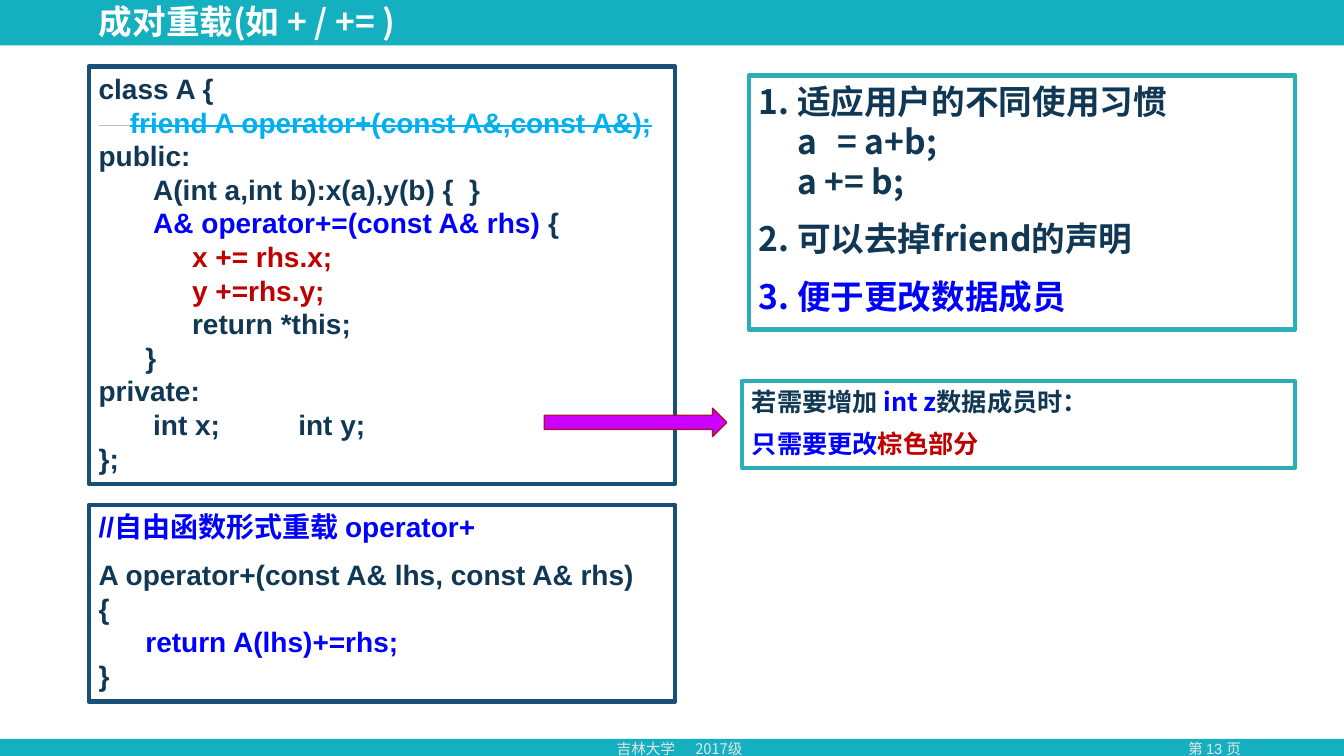
from dataclasses import dataclass

from lxml.etree import SubElement
from pptx import Presentation
from pptx.dml.color import RGBColor
from pptx.enum.shapes import MSO_CONNECTOR, MSO_SHAPE
from pptx.enum.text import MSO_ANCHOR, MSO_AUTO_SIZE, PP_ALIGN
from pptx.oxml.ns import qn
from pptx.util import Inches, Pt

COLS, ROWS = 160, 90


@dataclass(frozen=True)
class Theme:
    """Colours, fonts and type sizes of the slide."""
    band: str = "14B0C0"
    ink: str = "103754"
    blue: str = "0000FF"
    brown: str = "C00000"
    sky: str = "00B0F0"
    white: str = "FFFFFF"
    pale: str = "E7E6E6"
    grey: str = "BFBFBF"
    code_edge: str = "174F78"
    note_edge: str = "2DAEB7"
    arrow: str = "CC00FF"
    arrow_edge: str = "AA1337"
    latin: str = "Arial"
    cjk: str = "Noto Sans CJK SC"
    large: float = 24
    code: float = 20
    note: float = 18
    small: float = 10.5
    space: float = 5.56 / 72  # width of one space in code, in inches


T = Theme()


def rgb(value):
    """Turn a hex string into a colour."""
    return RGBColor.from_string(value)


def add_run(p, text, size, color, font, bold=True, strike=False):
    """Add formatted text to a paragraph; a newline becomes a line break."""
    for i, line in enumerate(text.split("\n")):
        if i:
            p.add_line_break()
        r = p.add_run()
        r.text = line
        r.font.size, r.font.bold, r.font.name = Pt(size), bold, font
        r.font.color.rgb = rgb(color)
        rPr = r.font._element
        SubElement(rPr, qn("a:ea")).set("typeface", T.cjk)
        if strike:
            rPr.set("strike", "sngStrike")


def para(*runs, indent=0, gap=False, number=False, tab=None):
    """Describe a paragraph; a run is (text, colour[, strike])."""
    return dict(runs=runs, indent=indent, gap=gap, number=number, tab=tab)


class Deck:
    """Holds the theme and the current slide, and draws on its grid."""

    def __init__(self, prs, theme):
        """Add a title-only slide."""
        self.theme = theme
        self.col, self.row = prs.slide_width / COLS, prs.slide_height / ROWS
        self.s = prs.slides.add_slide(prs.slide_layouts[5])

    def place(self, x, y, w, h):
        """Convert columns and rows to lengths."""
        return (round(x * self.col), round(y * self.row),
                round(w * self.col), round(h * self.row))

    def fill_text(self, sp, paras, size, font, align=PP_ALIGN.LEFT,
                  anchor=MSO_ANCHOR.TOP, bold=True):
        """Fill a shape with described paragraphs."""
        tf = sp.text_frame
        tf.word_wrap, tf.auto_size = True, MSO_AUTO_SIZE.NONE
        tf.vertical_anchor = anchor
        for i, item in enumerate(paras):
            p = tf.add_paragraph() if i else tf.paragraphs[0]
            p.alignment = align
            if item["gap"]:
                p.space_before = Pt(size / 2)
            pPr = p._p.get_or_add_pPr()
            if item["indent"]:
                pPr.set("marL", str(Inches(item["indent"])))
            if item["number"]:
                pPr.set("indent", str(-Inches(item["indent"])))
                SubElement(pPr, qn("a:buAutoNum")).set("type", "arabicPeriod")
            if item["tab"]:
                tabs = SubElement(pPr, qn("a:tabLst"))
                SubElement(tabs, qn("a:tab"), pos=str(Inches(item["tab"])), algn="l")
            for text, color, *strike in item["runs"]:
                add_run(p, text, size, color, font, bold, bool(strike))

    def shape(self, box, fill=None, edge=None, width=3, kind=MSO_SHAPE.RECTANGLE):
        """Draw a preset shape."""
        sp = self.s.shapes.add_shape(kind, *self.place(*box))
        sp.shadow.inherit = False
        if fill:
            sp.fill.solid()
            sp.fill.fore_color.rgb = rgb(fill)
        else:
            sp.fill.background()
        if edge:
            sp.line.color.rgb, sp.line.width = rgb(edge), Pt(width)
        else:
            sp.line.fill.background()
        return sp

    def panel(self, box, edge, paras, size, font):
        """Draw a framed box of text."""
        self.fill_text(self.shape(box, edge=edge), paras, size, font)

    def label(self, box, item, font, align=PP_ALIGN.LEFT):
        """Add a small footer text."""
        sp = self.s.shapes.add_textbox(*self.place(*box))
        self.fill_text(sp, [item], self.theme.small, font, align,
                       MSO_ANCHOR.MIDDLE, False)

    def title(self, box, text):
        """Move the title placeholder to the front and fill it."""
        sp = self.s.shapes.title
        sp.left, sp.top, sp.width, sp.height = self.place(*box)
        self.s.shapes._spTree.append(sp._element)
        self.fill_text(sp, [para((text, self.theme.white))], self.theme.large,
                       self.theme.cjk, anchor=MSO_ANCHOR.MIDDLE)
        sp.text_frame.paragraphs[0].line_spacing = 0.9

    def rule(self, x, y, w, color, width):
        """Draw a thin horizontal line."""
        left, top, length, _ = self.place(x, y, w, 0)
        line = self.s.shapes.add_connector(
            MSO_CONNECTOR.STRAIGHT, left, top, left + length, top)
        line.line.color.rgb, line.line.width = rgb(color), Pt(width)
        SubElement(line._element.spPr, qn("a:effectLst"))


def code(text, color=T.ink, spaces=0, **options):
    """Describe a line of code indented by a number of spaces."""
    return para((text, color), indent=spaces * T.space, **options)


CLASS_CODE = [
    code("class A {"),
    para(("friend A operator+(const A&,const A&);", T.sky, True), indent=4 * T.space),
    code("public:"),
    code("A(int a,int b):x(a),y(b) {  }", spaces=7),
    para(("A& operator+=(const A& rhs) ", T.blue), ("{", T.ink), indent=7 * T.space),
    code("x += rhs.x;", T.brown, 12),
    code("y +=rhs.y;", T.brown, 12),
    code("return *this;", spaces=12),
    code("}", spaces=6),
    code("private:"),
    code("int x;\tint y;", spaces=7, tab=1.44),
    code("};"),
]
FREE_CODE = [
    code("//自由函数形式重载 operator+", T.blue),
    code("A operator+(const A& lhs, const A& rhs)", gap=True),
    code("{"),
    code("return A(lhs)+=rhs;", T.blue, 6),
    code("}"),
]
REASONS = [
    para(("适应用户的不同使用习惯\na\t= a+b;\na += b;", T.ink),
         indent=0.38, number=True, tab=0.78),
    para(("可以去掉friend的声明", T.ink), indent=0.38, number=True, gap=True),
    para(("便于更改数据成员", T.blue), indent=0.38, number=True, gap=True),
]
HINT = [
    para(("若需要增加 ", T.ink), ("int z", T.blue), ("数据成员时：", T.ink)),
    para(("只需要更改", T.blue), ("棕色部分", T.brown), gap=True),
]

prs = Presentation()
prs.slide_width, prs.slide_height = Inches(13.33), Inches(7.5)
deck = Deck(prs, T)
for top, height in ((0, 5.4), (87.96, 2.04)):
    deck.shape((0, top, COLS, height), fill=T.band)
deck.label((135.84, 87.48, 17.52, 3.36), para(("第 13 页", T.pale)),
           T.latin, PP_ALIGN.CENTER)
deck.label((72.24, 87.48, 22.08, 3.36), para(("吉林大学\t2017级", T.pale), tab=0.78), T.cjk)
deck.title((10.56, 0.48, 92.16, 4.68), "成对重载(如 + / += )")
deck.panel((10.56, 7.92, 69.84, 49.68), T.code_edge, CLASS_CODE, T.code, T.latin)
deck.rule(11.76, 14.94, 3.72, T.grey, 0.75)
deck.panel((10.56, 60.12, 69.84, 23.4), T.code_edge, FREE_CODE, T.code, T.latin)
deck.panel((89.16, 9, 65.04, 30.24), T.note_edge, REASONS, T.large, T.cjk)
deck.panel((88.32, 45.36, 65.88, 10.32), T.note_edge, HINT, T.note, T.cjk)
deck.shape((64.8, 48.6, 21.72, 3.36), T.arrow, T.arrow_edge, 1, MSO_SHAPE.RIGHT_ARROW)
prs.save("out.pptx")
